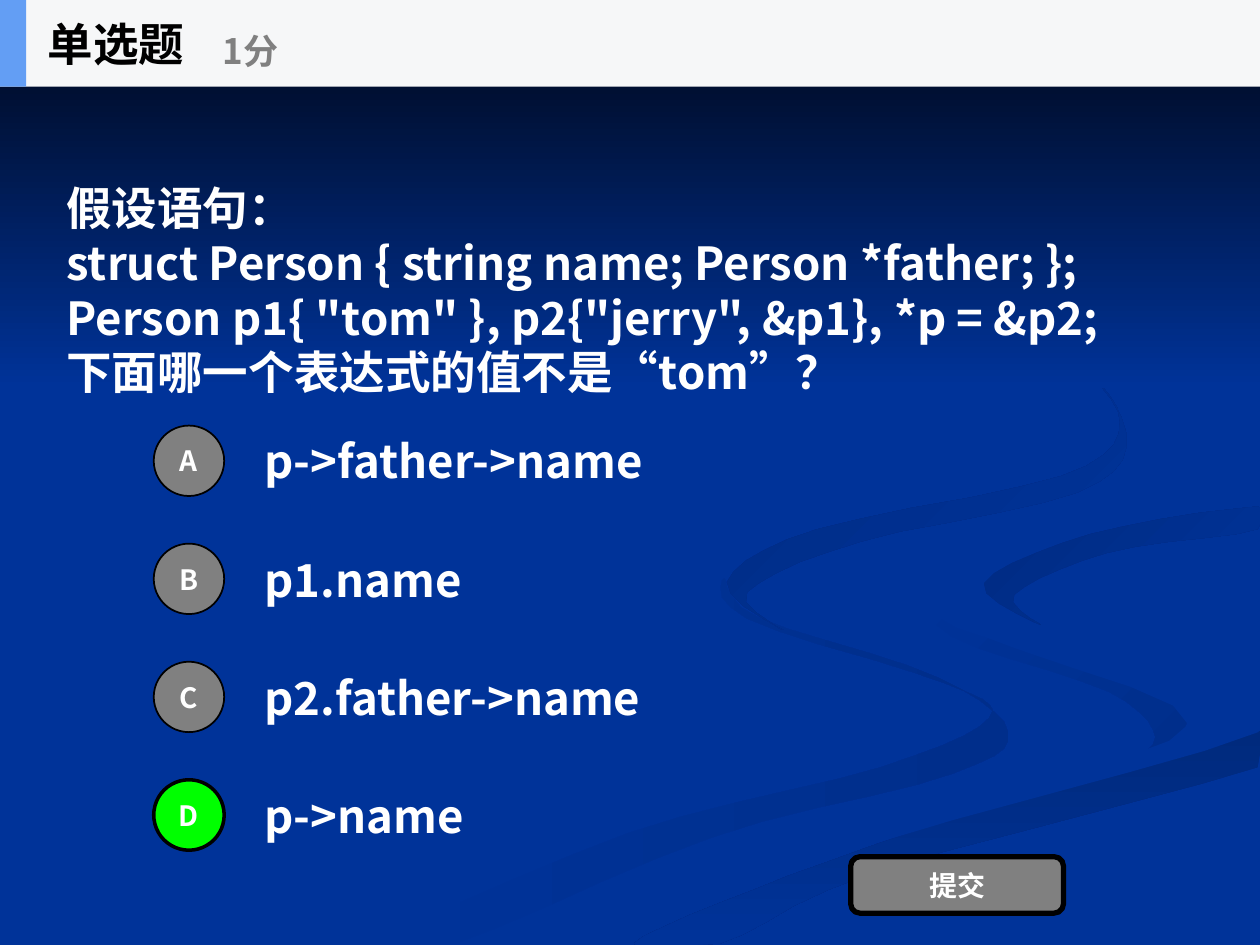
from pptx import Presentation
from pptx.dml.color import RGBColor
from pptx.enum.shapes import MSO_SHAPE
from pptx.enum.text import MSO_ANCHOR, MSO_AUTO_SIZE, PP_ALIGN
from pptx.oxml.ns import qn
from pptx.util import Cm, Pt
from lxml import etree

RECT, OVAL, ROUND = MSO_SHAPE.RECTANGLE, MSO_SHAPE.OVAL, MSO_SHAPE.ROUNDED_RECTANGLE
LEFT, CENTER = PP_ALIGN.LEFT, PP_ALIGN.CENTER
MIDDLE, FIXED = MSO_ANCHOR.MIDDLE, MSO_AUTO_SIZE.NONE

FONT = "Noto Sans CJK SC"
BLUE = RGBColor(0x00, 0x33, 0x99)
NIGHT = RGBColor(0x00, 0x05, 0x14)
DEEP = RGBColor(0x00, 0x2B, 0x82)
DUSK = RGBColor(0x00, 0x2E, 0x8B)
INK = RGBColor(0x00, 0x2A, 0x7D)
WHITE = RGBColor(0xFF, 0xFF, 0xFF)
BLACK = RGBColor(0x00, 0x00, 0x00)
GRAY = RGBColor(0x80, 0x80, 0x80)
GREEN = RGBColor(0x00, 0xFF, 0x00)
PALE = RGBColor(0xF6, 0xF7, 0xF8)
SKY = RGBColor(0x63, 0x9E, 0xF4)

WIDE, HIGH = 25.4, 19.05
UNIT = Cm(0.0254)  # one step of the wave outlines
STEPS = 5          # line pieces between two knots of a wave

# Each wave: start colour, end colour, clockwise angle, knots of its outline
WAVES = [
    (BLUE, DUSK, 0, [
        (575, 459), (593, 491), (752, 543), (785, 570), (699, 609),
        (499, 661), (300, 749), (361, 749), (564, 665), (756, 614),
        (800, 581), (745, 538), (602, 490)]),
    (BLUE, DUSK, 45, [
        (724, 464), (755, 505), (880, 549), (917, 585), (894, 605),
        (943, 570), (870, 530), (758, 498)]),
    (INK, BLUE, 90, [
        (503, 749), (571, 749), (695, 692), (998, 609), (998, 581),
        (764, 647), (599, 706)]),
    (BLUE, BLUE, 0, [
        (725, 464), (775, 503), (943, 575), (743, 643), (477, 749),
        (696, 669), (999, 581), (999, 538), (781, 463), (999, 402),
        (999, 387), (755, 432)]),
    (DEEP, BLUE, 45, [
        (781, 463), (826, 496), (805, 472), (878, 439), (998, 420),
        (998, 402), (865, 424)]),
    (DEEP, BLUE, 45, [
        (762, 233), (846, 279), (889, 335), (842, 378), (649, 420),
        (577, 462), (622, 500), (593, 470), (683, 430), (855, 391),
        (894, 344), (843, 275)]),
]

ASK = [
    "假设语句：",
    "struct Person { string name; Person *father; };",
    'Person p1{ "tom" }, p2{"jerry", &p1}, *p = &p2;',
    "下面哪一个表达式的值不是“tom”？",
]
PICKS = ["p->father->name", "p1.name", "p2.father->name", "p->name"]
RIGHT = "D"


def curve(knots):
    """Closed smooth outline through the knots, kept within the slide."""
    dots = []
    for i in range(len(knots)):
        a, b, c, d = (knots[(i + k) % len(knots)] for k in (-1, 0, 1, 2))
        for t in (n / STEPS for n in range(STEPS)):
            x, y = (q + t / 2 * (r - p + t * (2 * p - 5 * q + 4 * r - s
                    + t * (3 * (q - r) + s - p)))
                    for p, q, r, s in zip(a, b, c, d))
            dots.append((min(x, 1000), min(y, 750)))
    return dots


def blend(shape, start, end, angle):
    shape.shadow.inherit = False
    shape.line.fill.background()
    shape.fill.gradient()
    shape.fill.gradient_angle = -angle % 360
    for stop, color in zip(shape.fill.gradient_stops, (start, end)):
        stop.color.rgb = color


def write(shape, lines, size, color, align=LEFT, pitch=None):
    frame = shape.text_frame
    frame.word_wrap = True
    frame.auto_size = FIXED
    frame.vertical_anchor = MIDDLE
    for i, line in enumerate(lines):
        para = frame.add_paragraph() if i else frame.paragraphs[0]
        para.alignment = align
        para.space_before = Pt(0)
        if pitch:
            para.line_spacing = Pt(pitch)
        run = para.add_run()
        run.text = line
        font = run.font
        font.size, font.bold, font.name = Pt(size), True, FONT
        font.color.rgb = color
        east = etree.SubElement(font._element, qn("a:ea"))
        east.set("typeface", FONT)


def label(slide, box, lines, size, color, pitch=None):
    text = slide.shapes.add_textbox(*map(Cm, box))
    write(text, lines, size, color, pitch=pitch)


def block(slide, kind, box, fill, edge=0):
    shape = slide.shapes.add_shape(kind, *map(Cm, box))
    shape.shadow.inherit = False
    shape.fill.solid()
    shape.fill.fore_color.rgb = fill
    if edge:
        shape.line.color.rgb = BLACK
        shape.line.width = Pt(edge)
    else:
        shape.line.fill.background()
    return shape


def scene(slide, x, y, w, h):
    back = slide.background.fill
    back.solid()
    back.fore_color.rgb = BLUE
    for start, end, angle, knots in WAVES:
        dots = curve(knots)
        path = slide.shapes.build_freeform(*dots[0], scale=UNIT)
        path.add_line_segments(dots[1:], close=True)
        blend(path.convert_to_shape(Cm(x), Cm(y)), start, end, angle)
    # Dark fade at the top
    fade = slide.shapes.add_shape(RECT, Cm(x), Cm(y), Cm(w), Cm(h))
    blend(fade, NIGHT, BLUE, 90)


def choices(slide, x, y, w, h):
    step, tall, dot = h / len(PICKS), 1.78, 1.42
    for i, (key, pick) in enumerate(zip("ABCD", PICKS)):
        top = y + i * step
        label(slide, (x + 1.98, top, w - 1.98, tall), [pick], 26, WHITE)
        good = key == RIGHT
        disc = block(slide, OVAL, (x, top + (tall - dot) / 2, dot, dot),
                     GREEN if good else GRAY, 2 if good else 1)
        write(disc, [key], 16, WHITE, CENTER)


def header(slide, x, y, w, h):
    block(slide, RECT, (x, y, w, h), PALE)
    block(slide, RECT, (x, y, 0.53, h), SKY)
    # Title, raised above the bar
    title = slide.shapes.title
    title.left, title.top = Cm(x + 0.71), Cm(y)
    title.width, title.height = Cm(5.28), Cm(h)
    write(title, ["单选题"], 26, BLACK)
    slide.shapes._spTree.append(title._element)
    label(slide, (x + 4.24, y + 0.3, 6.35, 1.42), ["1分"], 20, GRAY)


def main():
    deck = Presentation()
    deck.slide_width, deck.slide_height = Cm(WIDE), Cm(HIGH)
    slide = deck.slides.add_slide(deck.slide_layouts[5])
    scene(slide, 0, 0, WIDE, 7.82)
    label(slide, (1.09, 2.87, 23.4, 5.94), ASK, 26, WHITE, 31.2)
    choices(slide, 3.1, 8.4, 19.76, 9.52)
    # Submit button
    send = block(slide, ROUND, (17.15, 17.27, 4.29, 1.14), GRAY, 3)
    write(send, ["提交"], 16, WHITE, CENTER)
    header(slide, 0, 0, WIDE, 1.75)
    deck.save("out.pptx")


if __name__ == "__main__":
    main()
